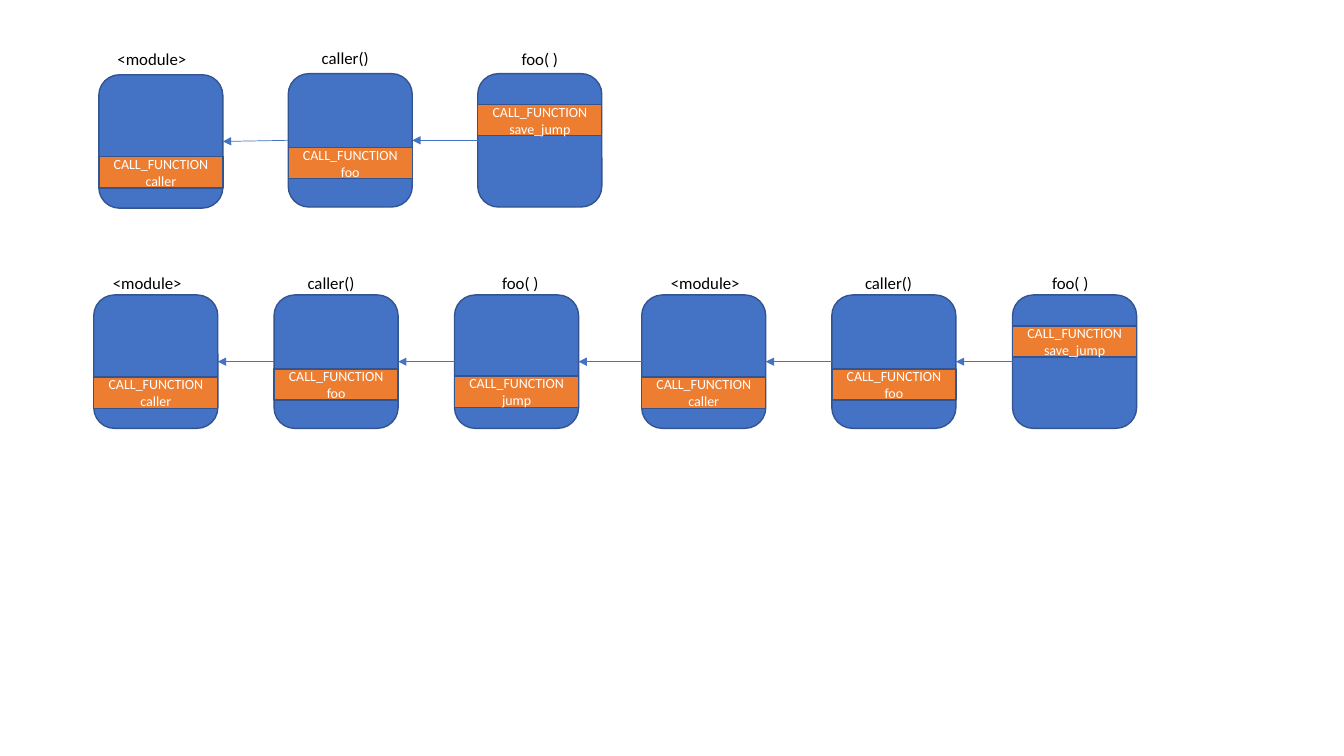
"""Draw two call stacks: before and after a saved jump."""
from dataclasses import dataclass
from itertools import pairwise

from lxml.etree import SubElement as Sub
from pptx import Presentation
from pptx.dml.color import RGBColor as RGB
from pptx.enum.shapes import MSO_CONNECTOR as Link, MSO_SHAPE as Form
from pptx.enum.text import MSO_ANCHOR as Anchor, MSO_AUTO_SIZE as Fit, PP_ALIGN as Align
from pptx.oxml.ns import qn
from pptx.util import Pt


@dataclass(frozen=True)
class Theme:
    """Hold colours, type and line sizes."""
    blue: RGB = RGB(0x44, 0x72, 0xC4)
    edge: RGB = RGB(0x32, 0x54, 0x91)
    orange: RGB = RGB(0xED, 0x7D, 0x31)
    white: RGB = RGB(255, 255, 255)
    black: RGB = RGB(0, 0, 0)
    font: str = "Calibri"
    label: float = 12
    code: float = 10
    border: float = 1
    arrow: float = 0.5


@dataclass(frozen=True)
class Frame:
    """Describe one stack frame: names, places and band offset."""
    name: str
    call: str
    left: float
    top: float
    drop: float
    tag_x: float
    tag_y: float


THEME = Theme()
WIDTH, HEIGHT, BAND = 88.6, 95.3, 22.3
TAGS = {"<module>": 100, "caller()": 75.6, "foo( )": 61.2}
BEFORE = [
    Frame("<module>", "caller", 70.6, 53.4, 58.6, 58.5, 31.2),
    Frame("caller()", "foo", 205.9, 52.6, 52.8, 208.8, 30.4),
    Frame("foo( )", "save_jump", 341.3, 52.6, 22.1, 355, 31.2),
]
AFTER = [
    Frame(name, call, left, 210.7, drop, tag, 191.2)
    for name, call, left, drop, tag in [
        ("<module>", "caller", 67, 58.6, 55.2),
        ("caller()", "foo", 195.8, 52.8, 198.7),
        ("foo( )", "jump", 324.7, 58, 341.1),
        ("<module>", "caller", 458.4, 58.6, 453.8),
        ("caller()", "foo", 594.2, 52.8, 596.9),
        ("foo( )", "save_jump", 723.3, 22.1, 733.9),
    ]
]


def add_text(item, text, size, color):
    """Write one centred run into a shape."""
    frame = item.text_frame
    frame.word_wrap = True
    para = frame.paragraphs[0]
    para.alignment = Align.CENTER
    run = para.add_run()
    run.text = text
    run.font.name = THEME.font
    run.font.size = Pt(size)
    run.font.color.rgb = color


def add_box(shapes, form, fill, left, top, high):
    """Add a filled, bordered shape of the common width."""
    box = shapes.add_shape(form, Pt(left), Pt(top), Pt(WIDTH), Pt(high))
    box.shadow.inherit = False
    box.fill.solid()
    box.fill.fore_color.rgb = fill
    box.line.color.rgb = THEME.edge
    box.line.width = Pt(THEME.border)
    return box


def add_tag(shapes, frame):
    """Add the name above a stack frame."""
    tag = shapes.add_textbox(Pt(frame.tag_x), Pt(frame.tag_y), Pt(TAGS[frame.name]), Pt(21.8))
    add_text(tag, frame.name, THEME.label, THEME.black)
    tag.text_frame.auto_size = Fit.SHAPE_TO_FIT_TEXT


def add_frame(slide, frame):
    """Add a grouped stack frame and return its body."""
    shapes = slide.shapes.add_group_shape().shapes
    body = add_box(shapes, Form.ROUNDED_RECTANGLE, THEME.blue, frame.left, frame.top, HEIGHT)
    band = add_box(shapes, Form.RECTANGLE, THEME.orange, frame.left, frame.top + frame.drop, BAND)
    add_text(band, f"CALL_FUNCTION {frame.call}", THEME.code, THEME.white)
    band.text_frame.vertical_anchor = Anchor.MIDDLE
    add_tag(shapes, frame)
    return body


def add_arrow(slide, start, end):
    """Link the left side of one body to the right side of another."""
    line = slide.shapes.add_connector(Link.STRAIGHT, 0, 0, 0, 0)
    line.begin_connect(start, 1)
    line.end_connect(end, 3)
    line.line.color.rgb = THEME.blue
    line.line.width = Pt(THEME.arrow)
    props = line._element.spPr
    Sub(props.find(qn("a:ln")), qn("a:tailEnd"), type="triangle")
    Sub(props, qn("a:effectLst"))


def add_stack(slide, frames):
    """Add a row of frames, each pointing back to its caller."""
    bodies = [add_frame(slide, frame) for frame in frames]
    for caller, callee in pairwise(bodies):
        add_arrow(slide, callee, caller)


def main():
    """Build and save the slide."""
    deck = Presentation()
    deck.slide_width, deck.slide_height = Pt(960), Pt(540)
    slide = deck.slides.add_slide(deck.slide_layouts[6])
    for stack in (BEFORE, AFTER):
        add_stack(slide, stack)
    deck.save("out.pptx")


main()
